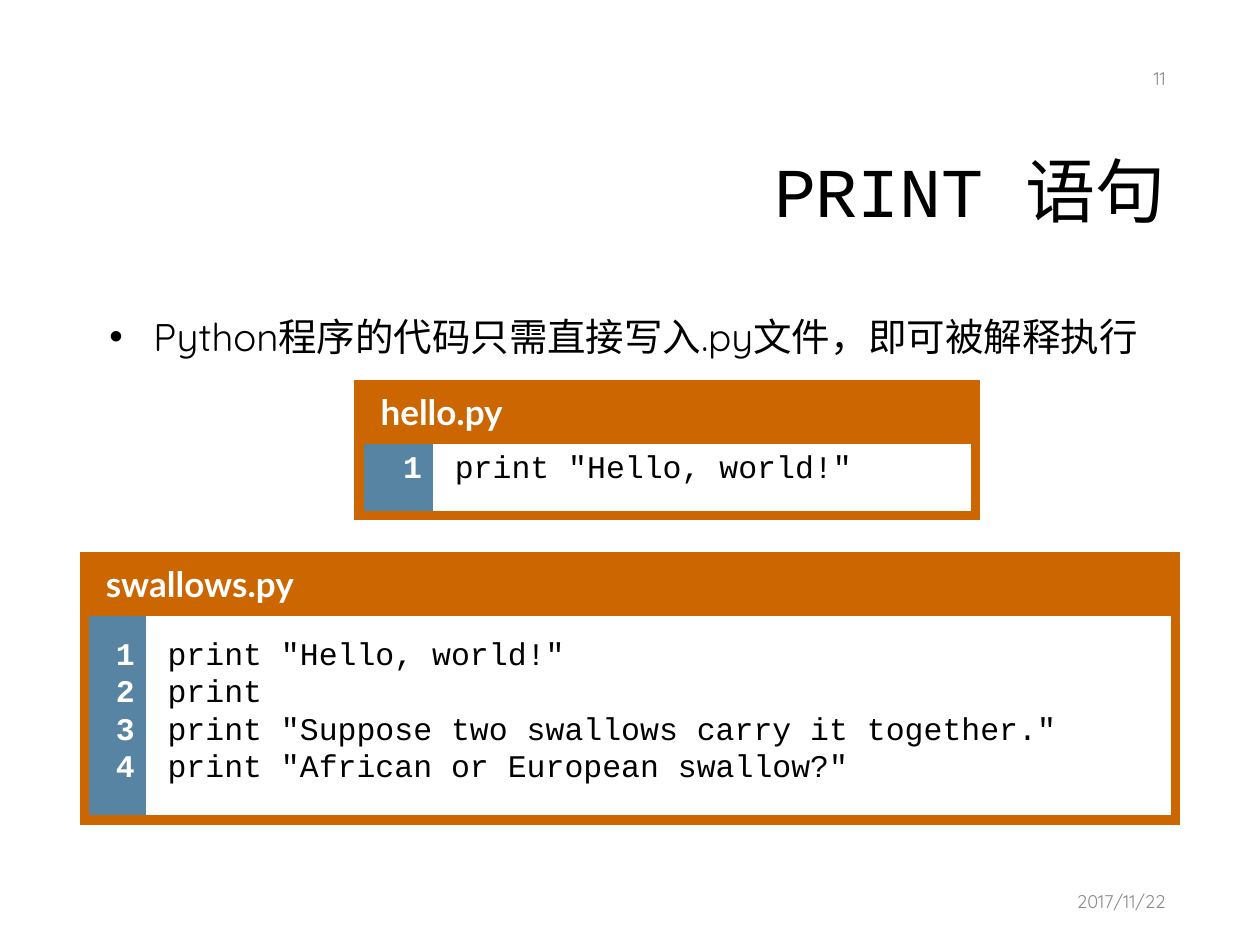
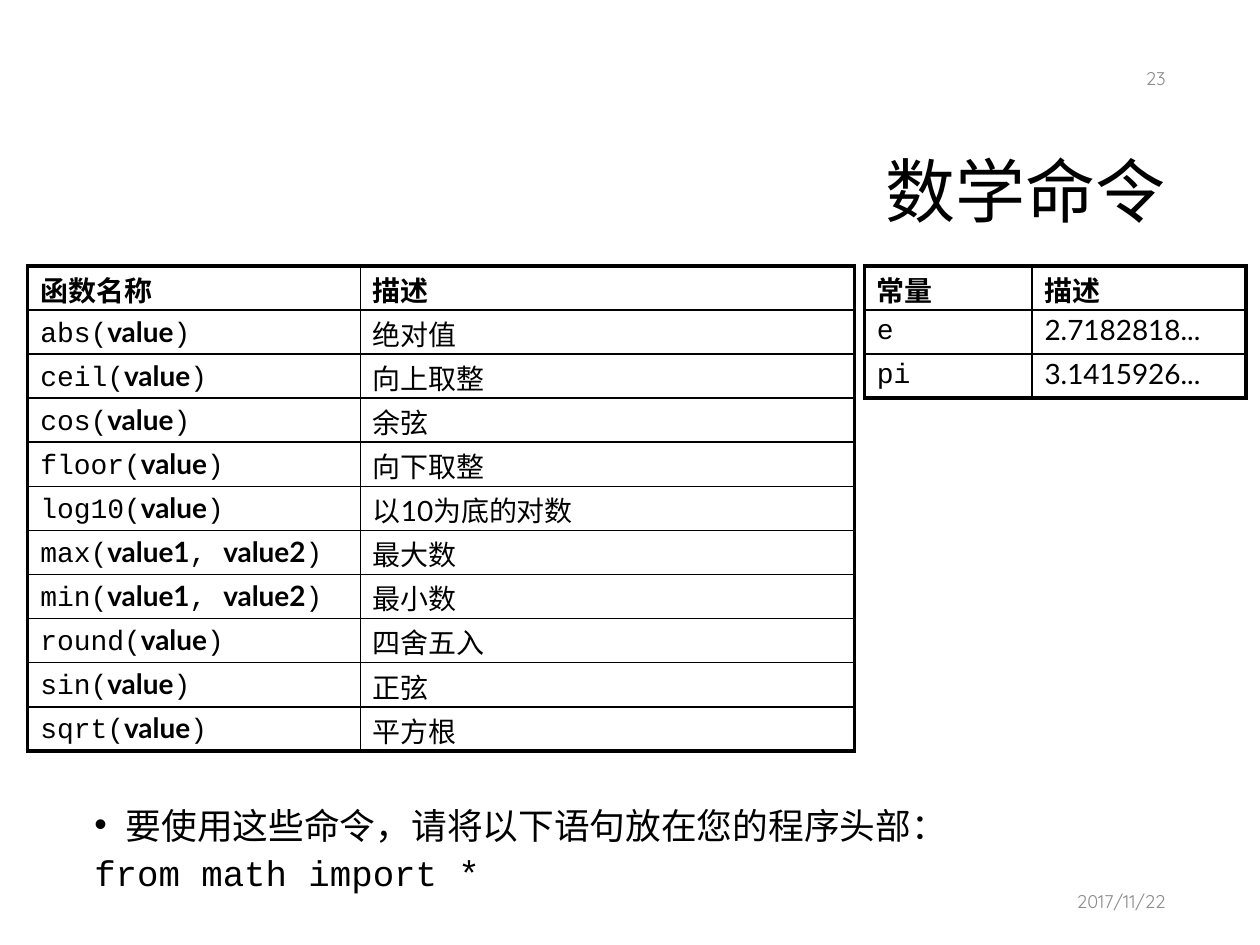
from lxml import etree
from pptx import Presentation
from pptx import util as u
from pptx.dml.color import RGBColor
from pptx.enum import text
from pptx.oxml import ns

C = {"ink": "000000", "grey": "8C8C8C", "white": "FFFFFF", "orange": "CC6600", "blue": "5784A3"}
MONO, SANS, BODY = "Courier New", "Lato", "Quicksand"
RIGHT = text.PP_ALIGN.RIGHT

prs = Presentation()
prs.slide_width, prs.slide_height = u.Inches(10), u.Inches(7.5)
COL, ROW = prs.slide_width / 100, prs.slide_height / 75


def write(tf, paras, para, font, color="ink", left=0, hang=0, bullet=None):
    for i, runs in enumerate(paras):
        p = tf.add_paragraph() if i else tf.paragraphs[0]
        for key, value in para.items():
            setattr(p, key, value)
        pPr = p._p.get_or_add_pPr()
        pPr.set("marL", str(int(left * COL)))
        pPr.set("indent", str(int(-hang * COL)))
        if bullet and i == 0:
            etree.SubElement(pPr, ns.qn("a:buFont")).set("typeface", "Arial")
            etree.SubElement(pPr, ns.qn("a:buChar")).set("char", bullet)
        for words, change in runs:
            r = p.add_run()
            r.text = words
            for key, value in {**font, **change}.items():
                setattr(r.font, key, value)
            r.font.color.rgb = RGBColor.from_string(C[color])


def paint(cell, fill, edges, color):
    if fill:
        cell.fill.solid()
        cell.fill.fore_color.rgb = RGBColor.from_string(C[fill])
    else:
        cell.fill.background()
    tcPr = cell._tc.get_or_add_tcPr()
    for i, (side, width) in enumerate(zip("LRTB", edges)):
        ln = etree.Element(ns.qn(f"a:ln{side}"), w=str(int(u.Pt(width))))
        if width:
            solid = etree.SubElement(ln, ns.qn("a:solidFill"))
            etree.SubElement(solid, ns.qn("a:srgbClr")).set("val", C[color])
        else:
            etree.SubElement(ln, ns.qn("a:noFill"))
        tcPr.insert(i, ln)


MIDDLE, TOP = text.MSO_ANCHOR.MIDDLE, text.MSO_ANCHOR.TOP
title_para = {"alignment": RIGHT, "line_spacing": 0.9}
title_font = {"size": u.Pt(40), "name": BODY}
small_font = {"size": u.Pt(10.5), "name": BODY}
mono = {"name": MONO}

pages = [
    {
        "number": "11",
        "title": [("PRINT ", mono), ("语句", {})],
        "body": [[("Python程序的代码只需直接写入.py文件，即可被解释执行", {})]],
        "at": (6.5, 24, 87, 44.5),
        "size": 22, "spacing": 1.1, "hang": 3.5, "left": 4.7,
    },
    {
        "number": "23",
        "title": [("数学命令", {})],
        "body": [[("要使用这些命令，请将以下语句放在您的程序头部：", {})], [("from math import *", mono)]],
        "at": (6.5, 64.2, 87, 7.8),
        "size": 20.4, "spacing": 0.7, "hang": 2.5, "left": 2.5,
    },
]

slides = []
for page in pages:
    s = prs.slides.add_slide(prs.slide_layouts[6])
    slides.append(s)
    body_para = {"line_spacing": page["spacing"], "space_before": u.Pt(10)}
    body_font = {"size": u.Pt(page["size"]), "name": BODY}
    boxes = [
        ((23.8, 8.4, 69.7, 14.1), MIDDLE, [page["title"]], title_para, title_font, {}),
        (page["at"], TOP, page["body"], body_para, body_font,
         {"left": page["left"], "hang": page["hang"], "bullet": "•"}),
        ((70.1, 69.5, 23.4, 4), MIDDLE, [[("2017/11/22", {})]], {"alignment": RIGHT}, small_font, {"color": "grey"}),
        ((71.9, 4.2, 21.6, 4), MIDDLE, [[(page["number"], {})]], {"alignment": RIGHT}, small_font, {"color": "grey"}),
    ]
    for (x, y, w, h), anchor, paras, para, font, extra in boxes:
        tf = s.shapes.add_textbox(int(x * COL), int(y * ROW), int(w * COL), int(h * ROW)).text_frame
        tf.word_wrap, tf.vertical_anchor = True, anchor
        write(tf, paras, para, font, **extra)
        if len(paras) > 1:
            pPr = tf.paragraphs[1]._p.pPr
            pPr.set("marL", "0")
            pPr.set("indent", "0")

listings = [
    ("swallows.py", (6.7, 44.2), (4.9, 81.7), (3, 10.4), 0.87, [
        'print "Hello, world!"',
        "print",
        'print "Suppose two swallows carry it together."',
        'print "African or European swallow?"',
    ]),
    ("hello.py", (28.5, 30.5), (5.9, 43), (3, 6.1), 0.37, ['print "Hello, world!"']),
]
tables = []
for name, at, widths, heights, spacing, code in listings:
    tables.append((slides[0], at, widths, heights))
for cells in [
    [("函数名称", "描述"), ("abs(|value|)", "绝对值"), ("ceil(|value|)", "向上取整"),
     ("cos(|value|)", "余弦"), ("floor(|value|)", "向下取整"), ("log10(|value|)", "以10为底的对数"),
     ("max(|value1|, |value2|)", "最大数"), ("min(|value1|, |value2|)", "最小数"),
     ("round(|value|)", "四舍五入"), ("sin(|value|)", "正弦"), ("sqrt(|value|)", "平方根")],
    [("常量", "描述"), ("e", "2.7182818..."), ("pi", "3.1415926...")],
]:
    at, widths = ((2.2, 21.1), (26.4, 39.2)) if len(cells) > 3 else ((68.6, 21.1), (13.3, 17))
    tables.append((slides[1], at, widths, [3.5] * len(cells), cells))

grids = []
for s, (x, y), widths, heights, *cells in tables:
    tbl = s.shapes.add_table(len(heights), len(widths), int(x * COL), int(y * ROW),
                             int(sum(widths) * COL), int(sum(heights) * ROW)).table
    tbl.first_row = tbl.horz_banding = False
    for column, width in zip(tbl.columns, widths):
        column.width = int(width * COL)
    for line, height in zip(tbl.rows, heights):
        line.height = int(height * ROW)
    grids.append((tbl, *cells))

for (tbl, *_), (name, at, widths, heights, spacing, code) in zip(grids, listings):
    tbl.cell(0, 0).merge(tbl.cell(0, 1))
    for c in range(2):
        paint(tbl.cell(0, c), "orange", (6, 6, 6, 6), "orange")
    paint(tbl.cell(1, 0), "blue", (6, 0, 6, 6), "orange")
    paint(tbl.cell(1, 1), "white", (0, 6, 6, 6), "orange")
    numbers = [str(n + 1) for n in range(len(code))]
    parts = [
        (0, 0, [name], {"space_before": u.Pt(4)}, {"name": SANS, "size": u.Pt(20), "bold": True}, "white", 0.5, 0.5),
        (1, 0, numbers, {"alignment": RIGHT}, {"name": MONO, "size": u.Pt(18), "bold": True}, "white", 2.3, 0.9),
        (1, 1, code, {}, {"name": MONO, "size": u.Pt(18), "bold": False}, "ink", 2.3, 1.8),
    ]
    for row, col, lines, para, font, color, pad, right in parts:
        cell = tbl.cell(row, col)
        margins = {"margin_left": 0.5 * COL, "margin_right": right * COL,
                   "margin_top": pad * ROW, "margin_bottom": pad * ROW}
        for key, value in margins.items():
            setattr(cell, key, int(value))
        if row:
            para = {**para, "line_spacing": spacing, "space_before": u.Pt(3.6)}
        write(cell.text_frame, [[(line, {})] for line in lines], para, font, color, left=1.2)

for tbl, cells in grids[len(listings):]:
    for r, line in enumerate(cells):
        for c, words in enumerate(line):
            cell = tbl.cell(r, c)
            edges = [2.25 if outer else 1 for outer in (c == 0, c == 1, r == 0, r == len(cells) - 1)]
            paint(cell, None, edges, "ink")
            plain = {"name": MONO if r and c == 0 else SANS, "bold": r == 0}
            strong = {"name": SANS, "bold": True}
            runs = [(part, strong if i % 2 else plain) for i, part in enumerate(words.split("|"))]
            write(cell.text_frame, [runs], {"line_spacing": 0.9, "space_before": u.Pt(3.2)}, {"size": u.Pt(16)})

prs.save("out.pptx")
